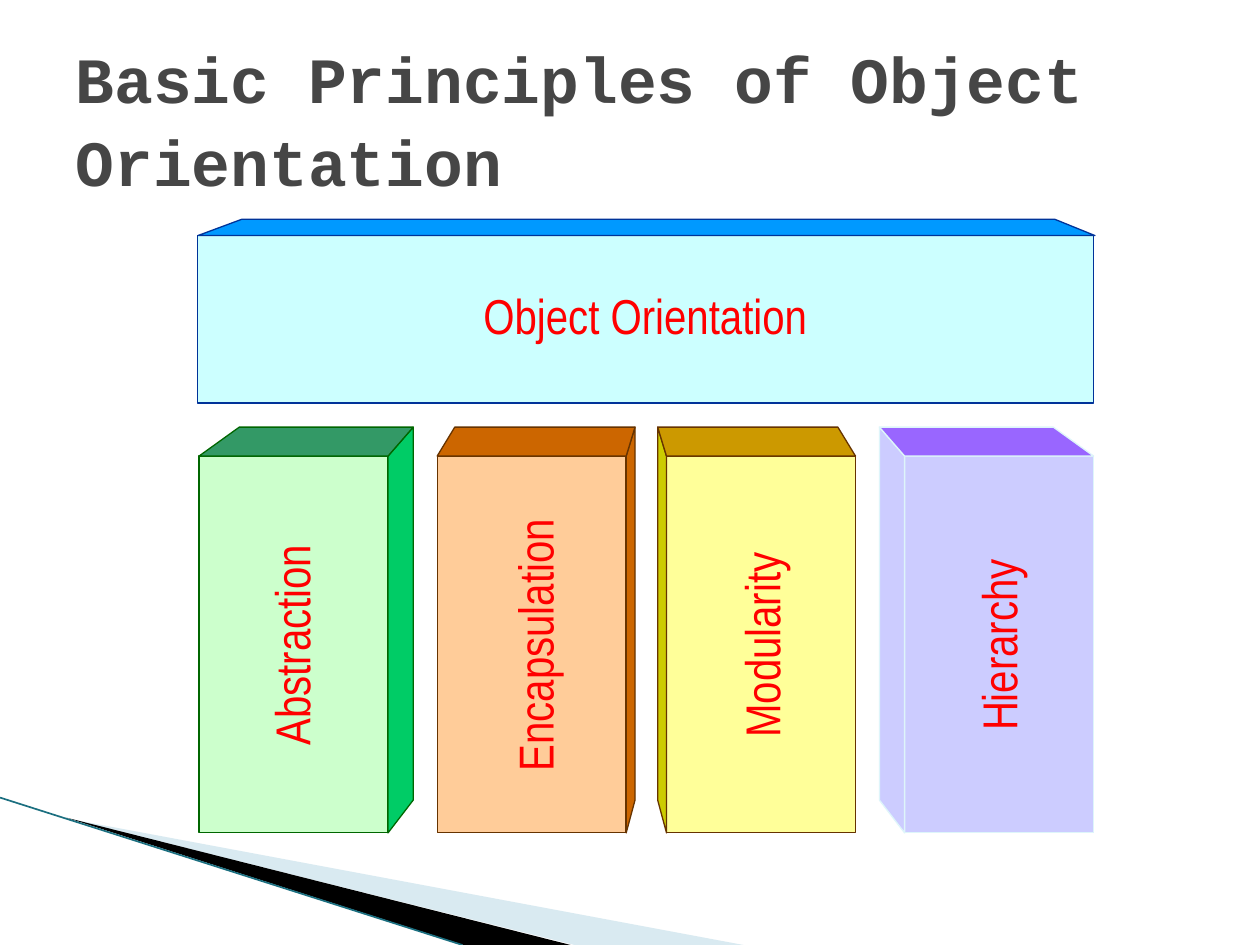
from typing import NamedTuple

from lxml.etree import SubElement
from pptx import Presentation
from pptx.dml.color import RGBColor
from pptx.enum.shapes import MSO_CONNECTOR, MSO_SHAPE
from pptx.enum.text import MSO_ANCHOR, MSO_AUTO_SIZE, PP_ALIGN
from pptx.oxml.ns import qn
from pptx.util import Inches, Pt

Point = tuple[float, float]

FRONT_WIDTH, FRONT_TOP, FRONT_BOTTOM = 1.5, 3.62, 6.61
BACK_TOP, BACK_BOTTOM = 3.39, 6.35
LABEL_HEIGHT = 0.59


class Pillar(NamedTuple):
    name: str
    left: float
    depth: float  # positive: side face on the right; negative: on the left
    slant: float
    label_x: float
    front: str
    top: str
    side: str
    edge: str


PILLARS = [
    Pillar("Abstraction", 1.58, 0.2, 0.32, 2.31, "CCFFCC", "339966", "00CC66", "006600"),
    Pillar("Encapsulation", 3.47, 0.07, 0.14, 4.24, "FFCC99", "CC6600", "CC6600", "663300"),
    Pillar("Modularity", 5.29, -0.07, -0.14, 6.04, "FFFF99", "CC9900", "CCCC00", "663300"),
    Pillar("Hierarchy", 7.18, -0.2, -0.32, 7.92, "CCCCFF", "9966FF", "CCCCFF", "DEF5FA"),
]


def color(value: str) -> RGBColor:
    return RGBColor.from_string(value)


def paint(shape, fill: str, edge: str | None = None) -> None:
    shape.shadow.inherit = False
    shape.fill.solid()
    shape.fill.fore_color.rgb = color(fill)
    if edge:
        shape.line.color.rgb = color(edge)
        shape.line.width = Pt(0.75)
    else:
        shape.line.fill.background()


def add_polygon(shapes, points: list[Point], fill: str, edge: str | None = None):
    corners = [(Inches(x), Inches(y)) for x, y in points]
    builder = shapes.build_freeform(*corners[0])
    builder.add_line_segments(corners[1:], close=True)
    polygon = builder.convert_to_shape()
    paint(polygon, fill, edge)
    return polygon


def add_front(shapes, left: float, top: float, width: float, height: float,
              fill: str, edge: str) -> None:
    front = shapes.add_shape(MSO_SHAPE.RECTANGLE, Inches(left), Inches(top),
                             Inches(width), Inches(height))
    paint(front, fill, edge)


def add_label(shapes, text: str, center: Point, width: float, rotation: int = 0) -> None:
    x, y = center
    box = shapes.add_textbox(Inches(x - width / 2), Inches(y - LABEL_HEIGHT / 2),
                             Inches(width), Inches(LABEL_HEIGHT))
    box.rotation = rotation
    frame = box.text_frame
    frame.word_wrap = True
    frame.auto_size = MSO_AUTO_SIZE.SHAPE_TO_FIT_TEXT
    frame.margin_left = frame.margin_right = Inches(0.12)
    frame.margin_top = frame.margin_bottom = Inches(0.06)
    para = frame.paragraphs[0]
    para.alignment = PP_ALIGN.CENTER
    span = para.add_run()
    span.text = text
    span.font.name = "Arial Narrow"
    span.font.size = Pt(28)
    span.font.color.rgb = color("FF0000")


def add_pillar(page, pillar: Pillar) -> None:
    shapes = page.shapes.add_group_shape().shapes
    right = pillar.left + FRONT_WIDTH
    near, far = (right, pillar.left) if pillar.depth > 0 else (pillar.left, right)
    back = near + pillar.depth
    add_front(shapes, pillar.left, FRONT_TOP, FRONT_WIDTH, FRONT_BOTTOM - FRONT_TOP,
              pillar.front, pillar.edge)
    add_polygon(shapes, [(back, BACK_TOP), (near, FRONT_TOP), (near, FRONT_BOTTOM),
                         (back, BACK_BOTTOM)], pillar.side, pillar.edge)
    add_polygon(shapes, [(far, FRONT_TOP), (far + pillar.slant, BACK_TOP),
                         (back, BACK_TOP), (near, FRONT_TOP)], pillar.top, pillar.edge)
    add_label(shapes, pillar.name, (pillar.label_x, 5.12), 2.96, 270)


def add_beam(page) -> None:
    shapes = page.shapes.add_group_shape().shapes
    add_front(shapes, 1.57, 1.87, 7.11, 1.33, "CCFFFF", "003399")
    add_polygon(shapes, [(8.69, 1.87), (8.37, 1.74), (1.92, 1.74), (1.57, 1.87)],
                "0099FF", "003399")
    add_label(shapes, "Object Orientation", (5.12, 2.5), 7.08)


def add_corner_decoration(page) -> None:
    pale = add_polygon(page.shapes, [(0.55, 6.5), (5.9, 7.5), (4.56, 7.5)], "A0CBDC")
    pale_color = pale.fill._xPr.find(qn("a:solidFill"))[0]
    SubElement(pale_color, qn("a:alpha"), val="40000")
    add_polygon(page.shapes, [(0.53, 6.49), (4.53, 7.5), (3.68, 7.5)], "000000")
    line = page.shapes.add_connector(MSO_CONNECTOR.STRAIGHT, Inches(0), Inches(6.33),
                                     Inches(3.67), Inches(7.5))
    line.line.color.rgb = color("1B6F80")
    line.line.width = Pt(0.95)
    SubElement(line._element.spPr, qn("a:effectLst"))


def set_title(page, text: str) -> None:
    title = page.shapes.title
    title.left, title.top = Inches(0.5), Inches(0.3)
    title.width, title.height = Inches(9), Inches(1.25)
    frame = title.text_frame
    frame.word_wrap = True
    frame.auto_size = MSO_AUTO_SIZE.NONE
    frame.vertical_anchor = MSO_ANCHOR.MIDDLE
    para = frame.paragraphs[0]
    para.alignment = PP_ALIGN.LEFT
    para.line_spacing = 1.07
    span = para.add_run()
    span.text = text
    span.font.name = "Courier New"
    span.font.size = Pt(36.9)
    span.font.bold = True
    span.font.color.rgb = color("464646")


def main() -> None:
    deck = Presentation()
    deck.slide_width, deck.slide_height = Inches(10), Inches(7.5)
    page = deck.slides.add_slide(deck.slide_layouts.get_by_name("Title Only"))
    add_corner_decoration(page)
    set_title(page, "Basic Principles of Object Orientation")
    add_beam(page)
    for pillar in PILLARS:
        add_pillar(page, pillar)
    deck.save("out.pptx")


if __name__ == "__main__":
    main()
